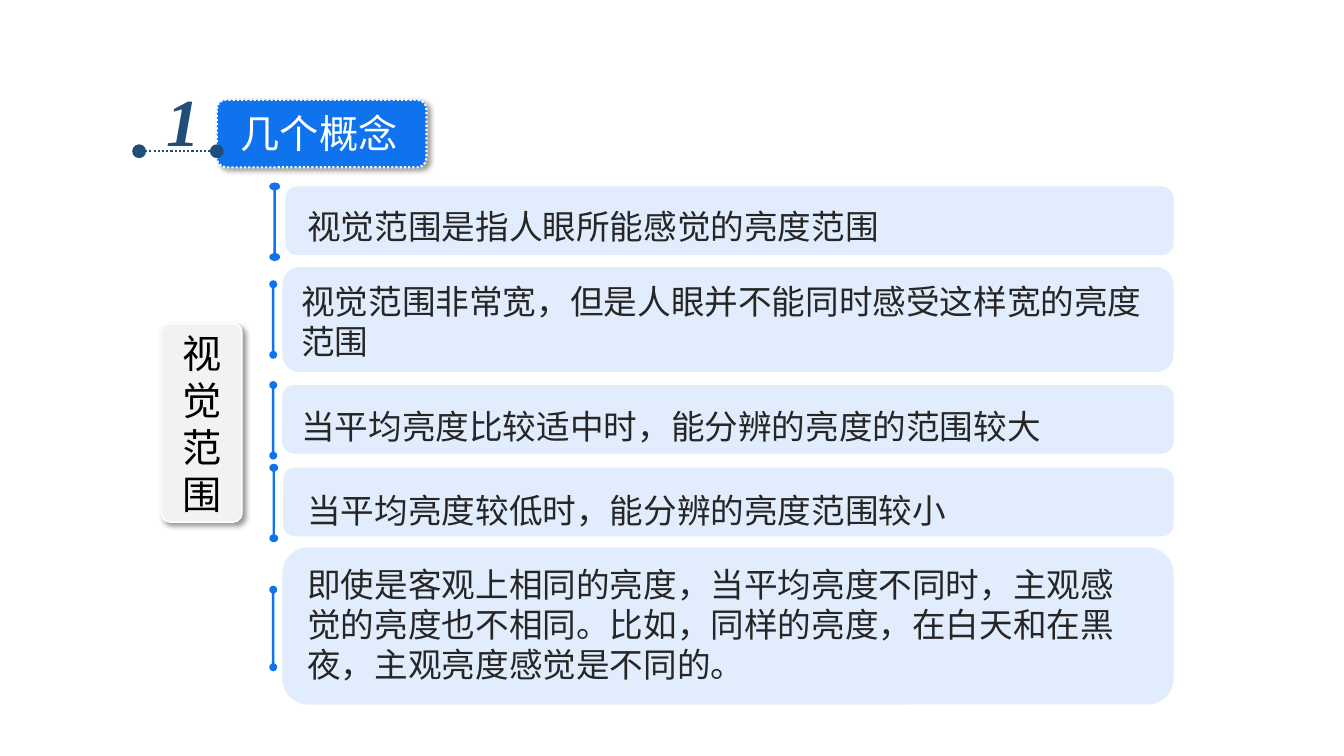
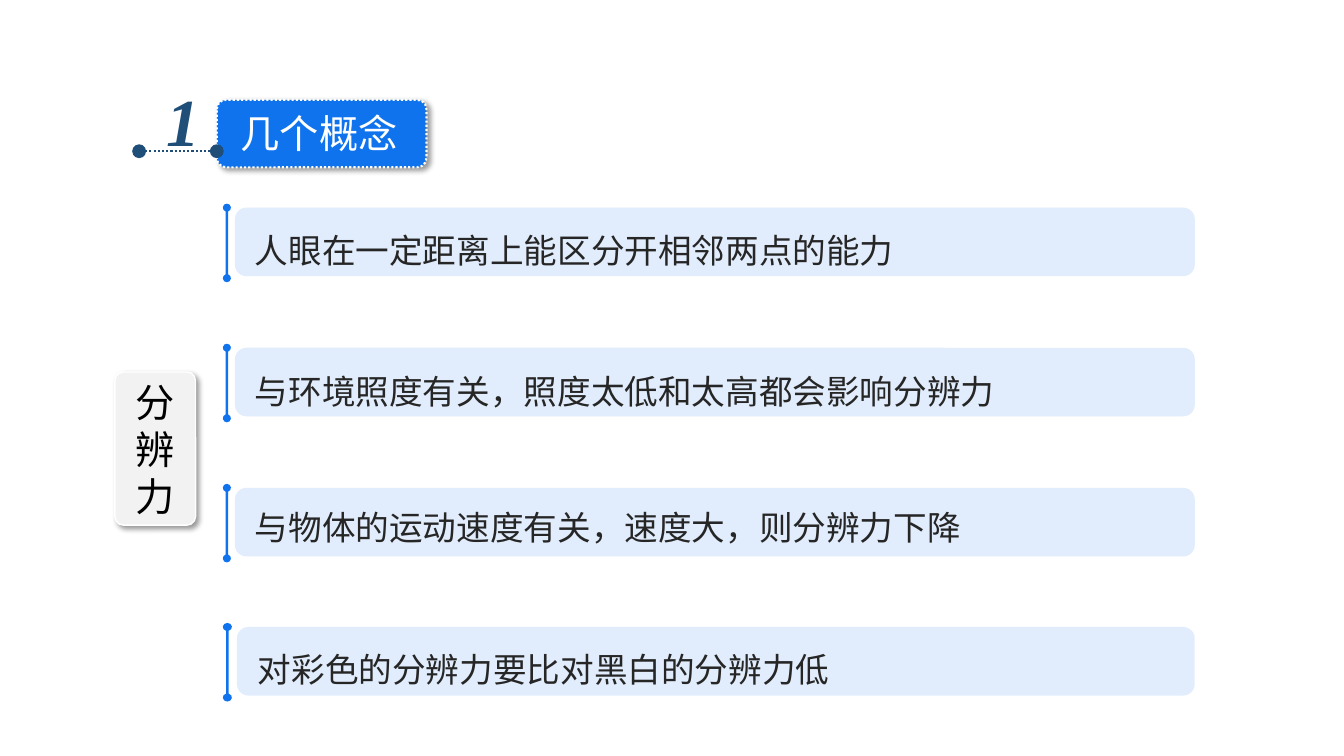
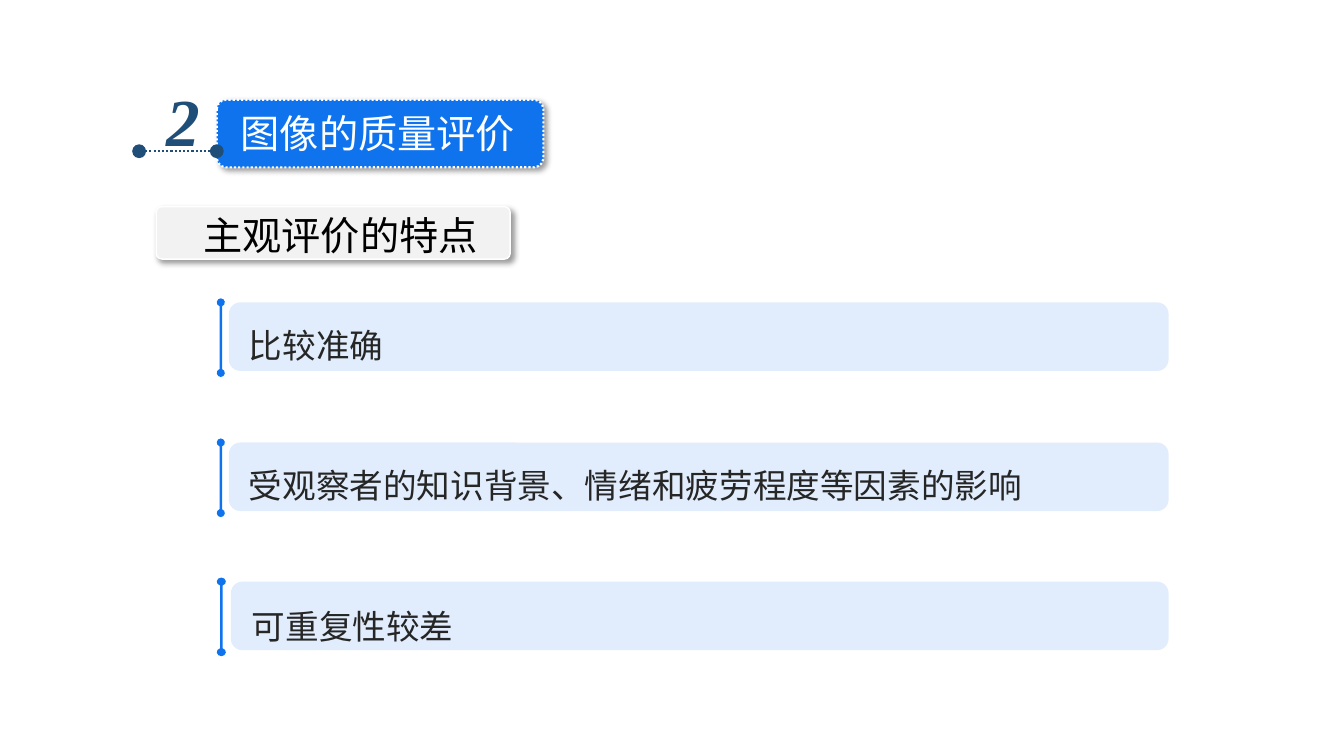
from dataclasses import dataclass
from math import asin, cos, pi, sin

from lxml.etree import SubElement
from pptx import Presentation
from pptx.dml.color import RGBColor
from pptx.enum.dml import MSO_LINE_DASH_STYLE as Dash
from pptx.enum.shapes import MSO_CONNECTOR as Connector, MSO_SHAPE as Preset
from pptx.enum.text import MSO_ANCHOR as Anchor, MSO_AUTO_SIZE as AutoSize
from pptx.oxml.ns import qn
from pptx.shapes.autoshape import Shape
from pptx.shapes.shapetree import GroupShapes
from pptx.slide import Slide
from pptx.util import Emu, Pt

SCALE = 9144


@dataclass(frozen=True)
class Theme:
    """Colours, fonts and type sizes of the deck."""
    blue: str = "0F73EE"
    navy: str = "1F4E79"
    grey: str = "F2F2F2"
    white: str = "FFFFFF"
    black: str = "000000"
    ink: str = "262626"
    cjk: str = "Noto Sans CJK SC"
    latin: str = "Times New Roman"
    body: int = 24
    heading: int = 28
    numeral: int = 48
    body_pitch: float = 28.6
    loose_pitch: float = 43
    heading_pitch: float = 33.5


THEME = Theme()


@dataclass(frozen=True)
class Frame:
    """A rectangle in px."""
    left: int
    top: int
    width: int
    height: int

    def emu(self) -> tuple[Emu, Emu, Emu, Emu]:
        """Return the rectangle in EMU."""
        return px(self.left), px(self.top), px(self.width), px(self.height)


@dataclass(frozen=True)
class Style:
    """The look of one text run and its line pitch in points."""
    size: int
    color: str
    pitch: float = 0
    cjk: bool = True


@dataclass(frozen=True)
class Row:
    """One statement: bar, dumbbell marker and text."""
    text: str
    left: int
    top: int
    text_left: int
    text_top: int
    height: int = 68
    marker_width: int = 8
    marker_height: int = 78
    marker_shift: int = 1
    wrap_width: int = 0


@dataclass(frozen=True)
class Topic:
    """The grey label of a page."""
    text: str
    card: Frame
    box: Frame


@dataclass(frozen=True)
class Page:
    """The content of one slide."""
    number: str
    title: str
    title_width: int
    topic: Topic
    marker_left: int
    bar_right: int
    rows: tuple[Row, ...]


BODY = Style(THEME.body, THEME.ink, THEME.body_pitch)
LOOSE = Style(THEME.body, THEME.ink, THEME.loose_pitch)
TITLE = Style(THEME.heading, THEME.white, THEME.heading_pitch)
TOPIC = Style(THEME.heading, THEME.black, THEME.heading_pitch)
NUMERAL = Style(THEME.numeral, THEME.navy, cjk=False)

PAGES = (
    Page("1", "几个概念", 208,
         Topic("视觉范围", Frame(160, 321, 80, 197), Frame(171, 322, 47, 199)), 267, 1164, (
             Row("视觉范围是指人眼所能感觉的亮度范围", 283, 185, 295, 180, marker_width=11),
             Row("视觉范围非常宽，但是人眼并不能同时感受这样宽的亮度范围",
                 280, 265, 289, 274, height=104, marker_shift=0, wrap_width=875),
             Row("当平均亮度比较适中时，能分辨的亮度的范围较大", 280, 382, 289, 378),
             Row("当平均亮度较低时，能分辨的亮度范围较小", 281, 464, 295, 461, marker_width=9),
             Row("即使是客观上相同的亮度，当平均亮度不同时，主观感觉的亮度也不相同。"
                 "比如，同样的亮度，在白天和在黑夜，主观亮度感觉是不同的。",
                 280, 543, 295, 555, height=156, marker_height=85, marker_shift=3, wrap_width=849),
         )),
    Page("1", "几个概念", 208,
         Topic("分辨力", Frame(114, 369, 80, 152), Frame(125, 371, 47, 151)), 221, 1185, (
             Row("人眼在一定距离上能区分开相邻两点的能力", 233, 206, 243, 203),
             Row("与环境照度有关，照度太低和太高都会影响分辨力", 233, 345, 243, 343),
             Row("与物体的运动速度有关，速度大，则分辨力下降", 233, 484, 243, 478),
             Row("对彩色的分辨力要比对黑白的分辨力低", 235, 622, 246, 619, marker_width=9),
         )),
    Page("2", "图像的质量评价", 324,
         Topic("主观评价的特点", Frame(155, 205, 351, 52), Frame(192, 205, 299, 57)), 215, 1159, (
             Row("比较准确", 227, 300, 237, 298),
             Row("受观察者的知识背景、情绪和疲劳程度等因素的影响", 227, 439, 237, 437),
             Row("可重复性较差", 229, 577, 240, 576, marker_width=9),
         )),
)


def px(length: float) -> Emu:
    """Turn px into EMU."""
    return Emu(round(length * SCALE))


def rgb(color: str) -> RGBColor:
    """Read a hex colour."""
    return RGBColor.from_string(color)


def paint(shape: Shape, color: str, opacity: int = 100) -> None:
    """Give a shape a flat fill and no line or shadow."""
    shape.shadow.inherit = False
    shape.fill.solid()
    shape.fill.fore_color.rgb = rgb(color)
    shape.line.fill.background()
    if opacity < 100:
        tint = shape.element.spPr.find(qn("a:solidFill"))[0]
        SubElement(tint, qn("a:alpha"), val=str(opacity * 1000))


def add_card(shapes: GroupShapes, frame: Frame, color: str, rounding: float, outline: float) -> Shape:
    """Draw a raised rounded card with a white outline."""
    card = shapes.add_shape(Preset.ROUNDED_RECTANGLE, *frame.emu())
    card.adjustments[0] = rounding
    paint(card, color)
    card.line.color.rgb = rgb(THEME.white)
    card.line.width = Pt(outline)
    effects = card.element.spPr.find(qn("a:effectLst"))
    shadow = SubElement(effects, qn("a:outerShdw"), blurRad=str(Pt(4)), dist=str(Pt(3)),
                        dir=str(45 * 60000), algn="tl", rotWithShape="0")
    tint = SubElement(shadow, qn("a:srgbClr"), val=THEME.black)
    SubElement(tint, qn("a:alpha"), val="40000")
    return card


def add_text(shapes: GroupShapes, frame: Frame, text: str, style: Style, wrap: bool = False) -> None:
    """Add a text box holding one run."""
    box = shapes.add_textbox(*frame.emu())
    body = box.text_frame
    body.word_wrap = wrap
    body.auto_size = AutoSize.NONE
    body.vertical_anchor = Anchor.TOP
    body.margin_left = body.margin_right = px(10)
    body.margin_top = body.margin_bottom = px(5)
    para = body.paragraphs[0]
    if style.pitch:
        para.line_spacing = Pt(style.pitch)
    span = para.add_run()
    span.text = text
    span.font.size = Pt(style.size)
    span.font.color.rgb = rgb(style.color)
    span.font.name = THEME.cjk if style.cjk else THEME.latin
    if style.cjk:
        SubElement(span.font._element, qn("a:ea"), typeface=THEME.cjk)
    else:
        span.font.bold = span.font.italic = True


def add_marker(shapes: GroupShapes, frame: Frame) -> None:
    """Draw an upright dumbbell: two round ends joined by a thin stem."""
    radius_x, radius_y, stem, steps = frame.width / 2, 4, 1.2, 8
    gap = asin(stem / radius_x)
    ends = ((frame.top + radius_y, pi / 2), (frame.top + frame.height - radius_y, 3 * pi / 2))
    points = []
    for middle, joint in ends:
        for step in range(steps + 1):
            angle = joint + gap + (2 * pi - 2 * gap) * step / steps
            points.append((100 * (frame.left + radius_x + radius_x * cos(angle)),
                           100 * (middle + radius_y * sin(angle))))
    outline = shapes.build_freeform(*points[0], scale=SCALE / 100)
    outline.add_line_segments(points[1:], close=True)
    paint(outline.convert_to_shape(), THEME.blue)


def add_header(shapes: GroupShapes, page: Page) -> None:
    """Draw the numbered title with its dotted lead."""
    card = add_card(shapes, Frame(215, 99, page.title_width, 67), THEME.blue, 0.137, 1.5)
    card.line.dash_style = Dash.ROUND_DOT
    add_text(shapes, Frame(229, 104, page.title_width - 30, 57), page.title, TITLE)
    add_text(shapes, Frame(155, 74, 54, 91), page.number, NUMERAL)
    lead = shapes.add_connector(Connector.STRAIGHT, px(138), px(150), px(215), px(150))
    lead.line.color.rgb = rgb(THEME.navy)
    lead.line.width = Pt(1.5)
    lead.line.dash_style = Dash.ROUND_DOT
    stroke = lead.line._get_or_add_ln()
    for end in ("a:headEnd", "a:tailEnd"):
        SubElement(stroke, qn(end), type="oval", w="lg", len="lg")
    SubElement(lead._element.spPr, qn("a:effectLst"))


def add_topic(shapes: GroupShapes, topic: Topic) -> None:
    """Draw the grey topic label."""
    add_card(shapes, topic.card, THEME.grey, 0.108, 1)
    add_text(shapes, topic.box, topic.text, TOPIC, wrap=True)


def add_row(shapes: GroupShapes, row: Row, page: Page) -> None:
    """Draw one statement with its marker centred on the bar."""
    frame = Frame(row.left, row.top, page.bar_right - row.left, row.height)
    paint(shapes.add_shape(Preset.ROUNDED_RECTANGLE, *frame.emu()), THEME.blue, opacity=12)
    marker_top = row.top + (row.height - row.marker_height) // 2 + row.marker_shift
    add_marker(shapes, Frame(page.marker_left, marker_top, row.marker_width, row.marker_height))
    if row.wrap_width:
        box = Frame(row.text_left, row.text_top, row.wrap_width, row.height - 13)
        add_text(shapes, box, row.text, BODY, wrap=True)
    else:
        width = len(row.text) * THEME.body * 100 // 72 + 25
        add_text(shapes, Frame(row.text_left, row.text_top, width, 64), row.text, LOOSE)


def draw_page(slide: Slide, page: Page) -> None:
    """Draw every group of one page."""
    add_header(slide.shapes.add_group_shape().shapes, page)
    add_topic(slide.shapes.add_group_shape().shapes, page.topic)
    for row in page.rows:
        add_row(slide.shapes.add_group_shape().shapes, row, page)


def main() -> None:
    """Build and save the deck."""
    deck = Presentation()
    deck.slide_width, deck.slide_height = px(1333), px(750)
    for page in PAGES:
        draw_page(deck.slides.add_slide(deck.slide_layouts[6]), page)
    deck.save("out.pptx")


if __name__ == "__main__":
    main()
